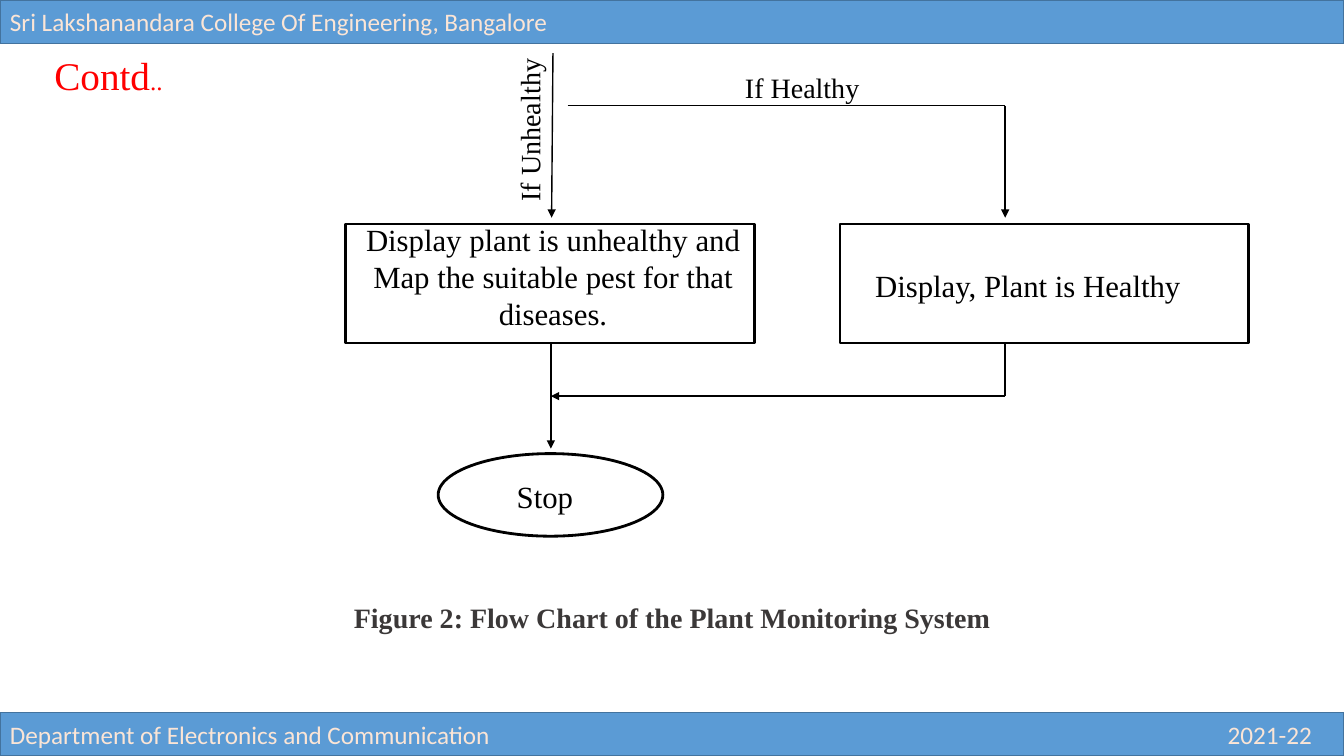
from lxml import etree
from pptx import Presentation
from pptx.dml.color import RGBColor
from pptx.enum.shapes import MSO_CONNECTOR, MSO_SHAPE
from pptx.enum.text import MSO_ANCHOR, PP_ALIGN
from pptx.oxml.ns import qn
from pptx.util import Pt

SERIF = "Times New Roman"
BOX_TOP, BOX_W, BOX_H = 160, 292, 85
BOX_BOTTOM = BOX_TOP + BOX_H
UNHEALTHY_X, HEALTHY_X = 393.5, 718
BRANCH_Y, MERGE_Y = 75.5, 283


def rgb(color):
    return RGBColor.from_string(color)


def style_text(p, size, color, name=SERIF, bold=False):
    p.font.size = Pt(size)
    p.font.name = name
    p.font.bold = bold
    p.font.color.rgb = rgb(color)


def add_outlined(slide, kind, box, fill, line, width):
    sp = slide.shapes.add_shape(kind, *map(Pt, box))
    sp.shadow.inherit = False
    sp.fill.solid()
    sp.fill.fore_color.rgb = rgb(fill)
    sp.line.color.rgb = rgb(line)
    sp.line.width = Pt(width)
    return sp


def add_bar(slide, top, text, tab=None):
    sp = add_outlined(slide, MSO_SHAPE.RECTANGLE, (0, top, 960, 31), "5B9BD5", "43739E", 1)
    sp.text_frame.vertical_anchor = MSO_ANCHOR.MIDDLE
    p = sp.text_frame.paragraphs[0]
    p.alignment = PP_ALIGN.LEFT
    p.add_run().text = text
    style_text(p, 18, "FBE5D6", "Calibri")
    if tab:
        tabs = etree.Element(qn("a:tabLst"))
        etree.SubElement(tabs, qn("a:tab"), pos=str(Pt(tab)), algn="r")
        p.font  # makes sure the default run properties exist
        p._p.pPr.find(qn("a:defRPr")).addprevious(tabs)


def add_label(slide, box, text, size, color="000000", align=PP_ALIGN.LEFT,
              bold=False, wrap=True, rotation=0):
    sp = slide.shapes.add_textbox(*map(Pt, box))
    sp.rotation = rotation
    tf = sp.text_frame
    tf.word_wrap = wrap
    p = tf.paragraphs[0]
    p.alignment = align
    p.add_run().text = text
    style_text(p, size, color, bold=bold)
    return sp


def add_line(slide, start, end, arrow=False):
    line = slide.shapes.add_connector(MSO_CONNECTOR.STRAIGHT, *map(Pt, start + end))
    line.line.color.rgb = rgb("000000")
    line.line.width = Pt(1)
    if arrow:
        etree.SubElement(line.line._get_or_add_ln(), qn("a:tailEnd"), type="triangle")
    etree.SubElement(line._element.spPr, qn("a:effectLst"))


def add_node(slide, kind, box):
    add_outlined(slide, kind, box, "FFFFFF", "000000", 2)


def main():
    prs = Presentation()
    prs.slide_width, prs.slide_height = Pt(960), Pt(540)
    slide = prs.slides.add_slide(prs.slide_layouts[6])

    # Title and bars
    title = add_label(slide, (31, 33, 93, 41), "Contd", 28, "FF0000",
                      PP_ALIGN.CENTER, wrap=False)
    dots = title.text_frame.paragraphs[0].add_run()
    dots.text = ".."
    dots.font.size = Pt(18)
    add_bar(slide, 509, "Department of Electronics and Communication\t2021-22", tab=930)
    add_bar(slide, 0, "Sri Lakshanandara College Of Engineering, Bangalore")

    # Nodes
    for left in (247, 600):
        add_node(slide, MSO_SHAPE.RECTANGLE, (left, BOX_TOP, BOX_W, BOX_H))
    add_node(slide, MSO_SHAPE.OVAL, (313, 324, 160.5, 59))

    # Node texts
    add_label(slide, (251, 154, 288, 87),
              "Display plant is unhealthy and Map the suitable pest for that diseases.",
              22, align=PP_ALIGN.CENTER)
    add_label(slide, (618, 187, 257, 34), "Display, Plant is Healthy", 22)
    add_label(slide, (362, 337.5, 102, 34), "Stop", 22)

    # Branch labels
    add_label(slide, (303, 60, 150.5, 31.5), "If Unhealthy", 20, rotation=270)
    add_label(slide, (525, 47, 150.5, 31.5), "If Healthy", 20)

    # Flow lines
    add_line(slide, (395, 38), (394, 155.5), arrow=True)
    add_line(slide, (405.5, BRANCH_Y), (HEALTHY_X, BRANCH_Y))
    add_line(slide, (HEALTHY_X, BRANCH_Y), (HEALTHY_X, 155.5), arrow=True)
    add_line(slide, (UNHEALTHY_X, BOX_BOTTOM), (UNHEALTHY_X, 320.5), arrow=True)
    add_line(slide, (HEALTHY_X, BOX_BOTTOM), (HEALTHY_X, MERGE_Y))
    add_line(slide, (HEALTHY_X, MERGE_Y), (UNHEALTHY_X, MERGE_Y), arrow=True)

    # Caption
    caption = add_label(slide, (134, 411, 692.5, 62.5),
                        "Figure 2: Flow Chart of the Plant Monitoring System",
                        20, "3B3838", PP_ALIGN.CENTER, bold=True)
    caption.text_frame.vertical_anchor = MSO_ANCHOR.MIDDLE
    caption.text_frame.paragraphs[0].line_spacing = 0.9

    prs.save("out.pptx")


if __name__ == "__main__":
    main()
